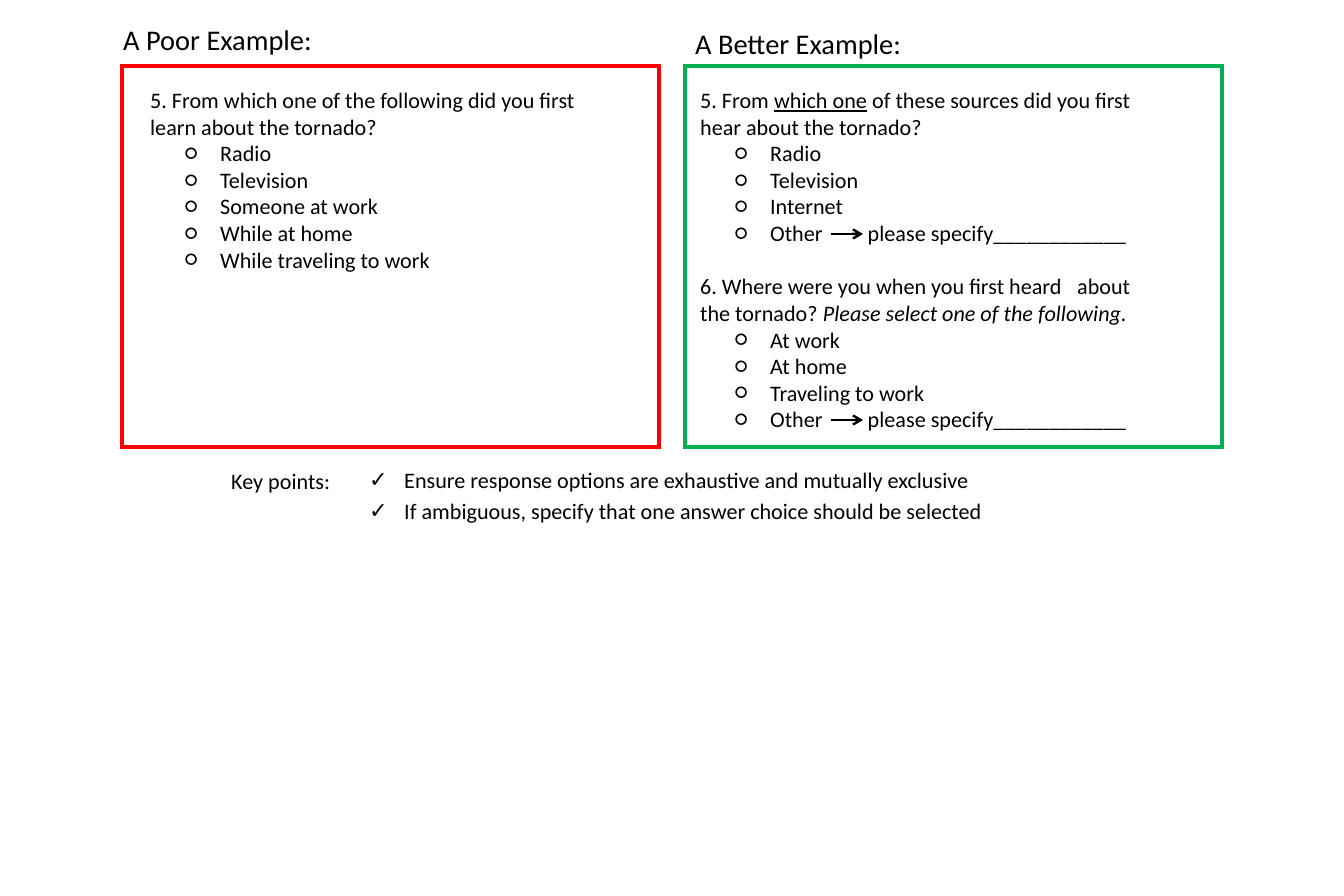
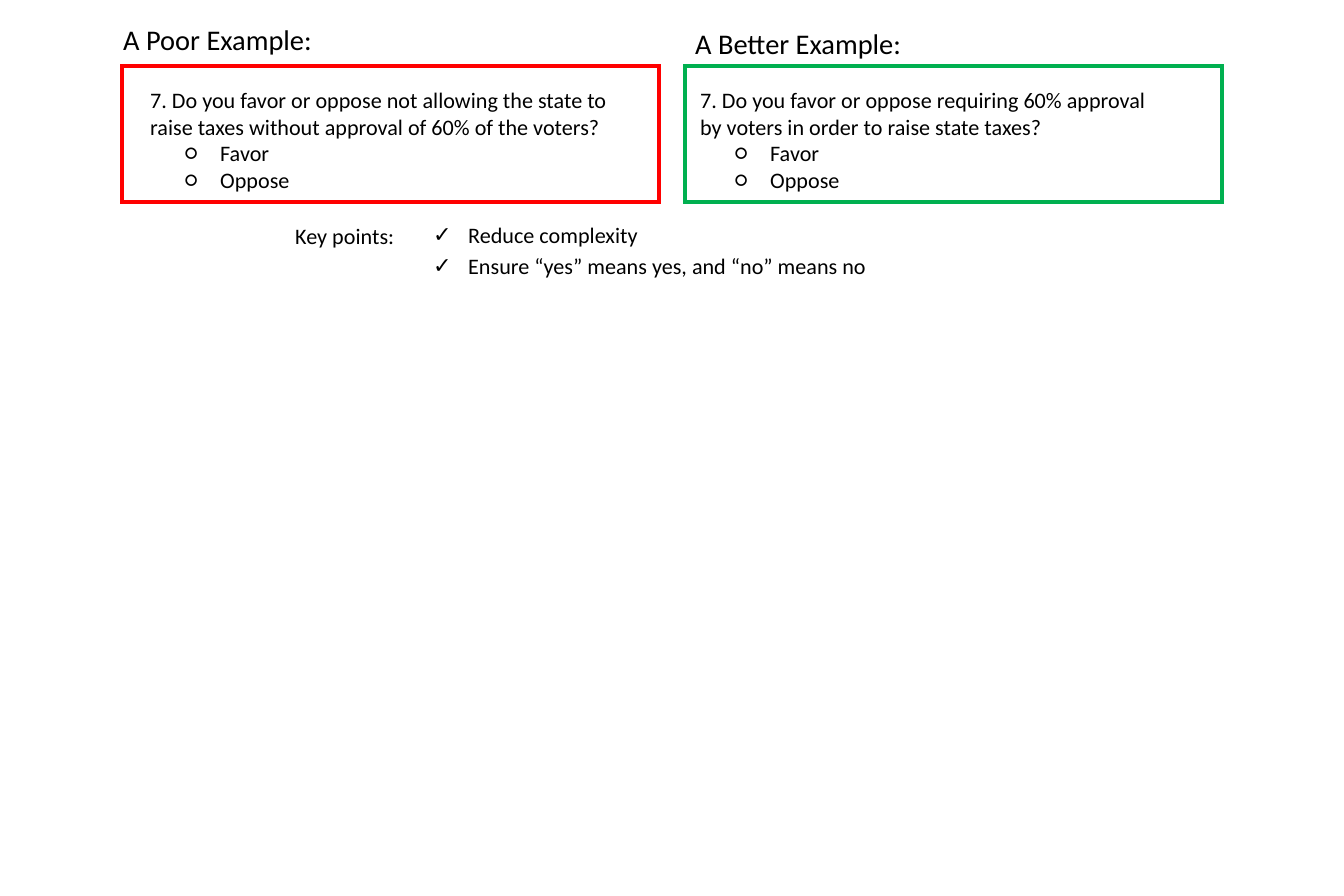
from lxml import etree
from pptx import Presentation
from pptx.dml.color import RGBColor
from pptx.enum.shapes import MSO_CONNECTOR, MSO_SHAPE
from pptx.enum.text import MSO_AUTO_SIZE
from pptx.oxml.ns import qn
from pptx.util import Pt

RECT, STRAIGHT = MSO_SHAPE.RECTANGLE, MSO_CONNECTOR.STRAIGHT
GROW = MSO_AUTO_SIZE.SHAPE_TO_FIT_TEXT
PX = 914400 / 113.8  # EMU per pixel
FONT = "Calibri"
COLORS = {"text": "000000", "poor": "FF0000", "better": "00B050"}
CIRCLE, CHECK = "○", "✓"
INDENT = 35
FRAME_TOP, FRAME_W = 66, 537
TEXT_TOP, TEXT_W, LINE_H = 81, 486, 27

# Each side: color key, title, title left and top, frame left, question left
SIDES = [
    ("poor", "A Poor Example:", 112, 16, 122, 139),
    ("better", "A Better Example:", 684, 20, 685, 689),
]


def px(n):
    """Turn picture pixels into EMU."""
    return round(n * PX)


def add_text(slide, box, paragraphs, size=14, bullet_level=1, after=0):
    """Add a text box; a paragraph is (bullet, space before, runs).

    A run is (text, style): style is "u", "i", None or a gap width in points.
    """
    s = slide.shapes.add_textbox(*map(px, box))
    tf = s.text_frame
    tf.word_wrap, tf.auto_size = True, GROW
    for i, (bullet, before, runs) in enumerate(paragraphs):
        p = tf.add_paragraph() if i else tf.paragraphs[0]
        p.space_before, p.space_after = Pt(before), Pt(after)
        if bullet:
            pPr = p._p.get_or_add_pPr()
            pPr.set("marL", str(px(INDENT * bullet_level)))
            pPr.set("indent", str(-px(INDENT)))
            etree.SubElement(pPr, qn("a:buFont")).set("typeface", FONT)
            etree.SubElement(pPr, qn("a:buChar")).set("char", bullet)
        for text, style in runs:
            r = p.add_run()
            r.text = text
            r.font.name, r.font.size = FONT, Pt(size)
            r.font.color.rgb = RGBColor.from_string(COLORS["text"])
            if style == "u":
                r.font.underline = True
            elif style == "i":
                r.font.italic = True
            elif style:
                r._r.get_or_add_rPr().set("spc", str(round(style * 100)))


OTHER = [("Other", None), (" ", 25.3), ("please specify____________", None)]
Q5_BETTER = [("5. From ", None), ("which one", "u"),
             (" of these sources did you first hear about the tornado?", None)]
Q6_BETTER = [("6. Where were you when you first heard", None), (" ", 6.3),
             ("about the tornado? ", None),
             ("Please select one of the following.", "i")]
FAVOR = ["Favor", "Oppose"]

# Questions per side: (question runs, options); each question takes two lines
SLIDES = [
    {
        "frame_h": 381,
        "poor": [([("5. From which one of the following did you first learn "
                    "about the tornado?", None)],
                  ["Radio", "Television", "Someone at work", "While at home",
                   "While traveling to work"])],
        "better": [(Q5_BETTER, ["Radio", "Television", "Internet", OTHER]),
                   (Q6_BETTER, ["At work", "At home", "Traveling to work", OTHER])],
        "arrows": [234, 420],
        "key_left": 220,
        "key_h": 101,
        "key_points": ["Ensure response options are exhaustive and mutually exclusive",
                       "If ambiguous, specify that one answer choice should be selected"],
    },
    {
        "frame_h": 136,
        "poor": [([("7. Do you favor or oppose not allowing the state to raise "
                    "taxes without approval of 60% of the voters?", None)], FAVOR)],
        "better": [([("7. Do you favor or oppose requiring 60% approval by voters "
                      "in order to raise state taxes?", None)], FAVOR)],
        "arrows": [],
        "key_left": 284,
        "key_h": 69,
        "key_points": ["Reduce complexity",
                       "Ensure “yes” means yes, and “no” means no"],
    },
]

prs = Presentation()
prs.slide_width, prs.slide_height = px(1344), px(896)

for data in SLIDES:
    slide = prs.slides.add_slide(prs.slide_layouts[6])

    for side, title, title_left, title_top, frame_left, text_left in SIDES:
        frame = slide.shapes.add_shape(
            RECT, *map(px, (frame_left, FRAME_TOP, FRAME_W, data["frame_h"])))
        frame.shadow.inherit = False
        frame.fill.background()
        frame.line.color.rgb = RGBColor.from_string(COLORS[side])
        frame.line.width = Pt(2.25)
        etree.SubElement(frame.line._get_or_add_ln(), qn("a:miter")).set("lim", "800000")

        add_text(slide, (title_left, title_top, 490, 46),
                 [(None, 0, [(title, None)])], size=18)

        paragraphs = []
        for question, options in data[side]:
            paragraphs.append((None, 17 if paragraphs else 0, question))
            for option in options:
                runs = option if option is OTHER else [(option, None)]
                paragraphs.append((CIRCLE, 0, runs))
        lines = len(paragraphs) + 2 * len(data[side]) - 1
        add_text(slide, (text_left, TEXT_TOP, TEXT_W, 11 + LINE_H * lines),
                 paragraphs, bullet_level=2)

    for y in data["arrows"]:
        arrow = slide.shapes.add_connector(STRAIGHT, px(831), px(y), px(863), px(y))
        arrow.line.color.rgb = RGBColor.from_string(COLORS["text"])
        arrow.line.width = Pt(1.5)
        etree.SubElement(arrow.line._get_or_add_ln(), qn("a:tailEnd")).set("type", "arrow")
        etree.SubElement(arrow._element.spPr, qn("a:effectLst"))

    key_top = FRAME_TOP + data["frame_h"] + 14
    add_text(slide, (data["key_left"], key_top + 1, 135, 39),
             [(None, 0, [("Key points:", None)])], after=3)
    add_text(slide, (data["key_left"] + 138, key_top, 784, data["key_h"]),
             [(CHECK, 0, [(point, None)]) for point in data["key_points"]], after=3)

prs.save("out.pptx")
